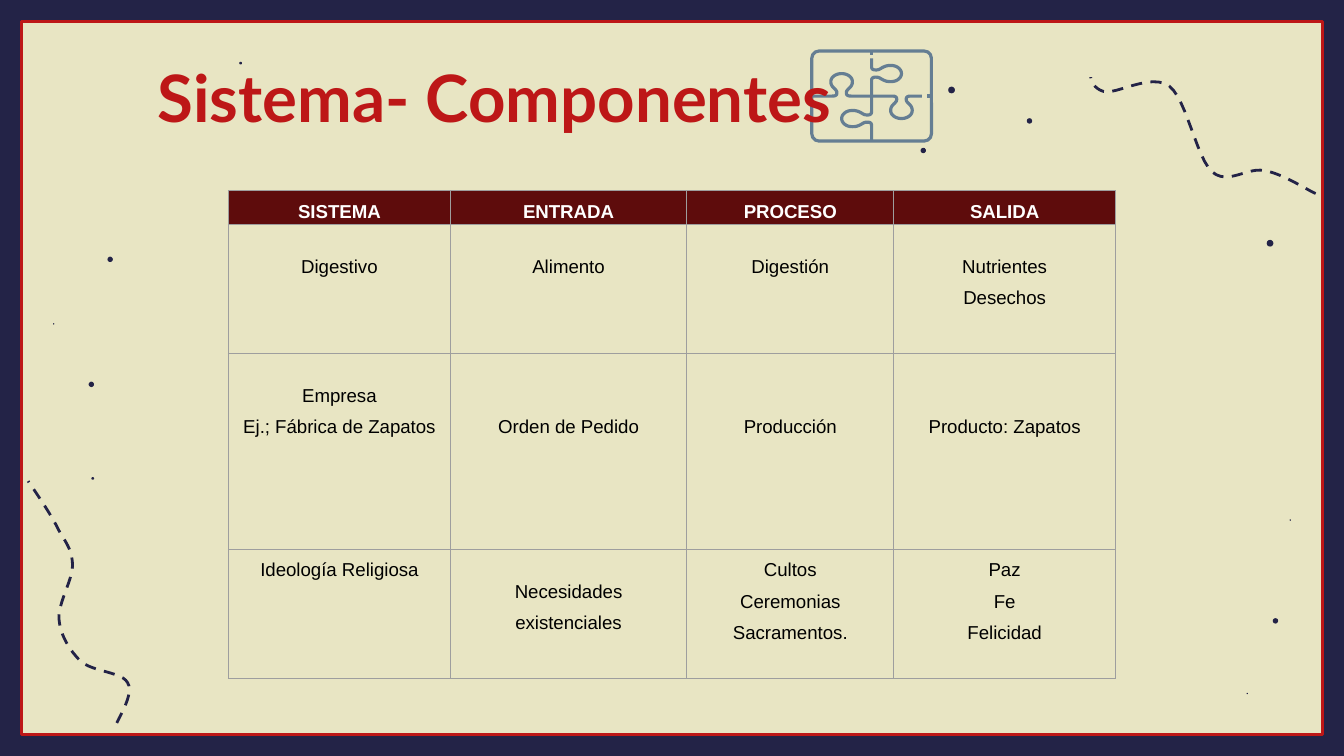
import pptx
import pptx.util
import pptx.dml.color
import pptx.enum.dml
import pptx.enum.shapes
import pptx.enum.text
import pptx.oxml
import pptx.oxml.ns

Inches, Pt = pptx.util.Inches, pptx.util.Pt
SHAPE = pptx.enum.shapes.MSO_SHAPE
NAVY, RED, CREAM, MAROON, SLATE = "232347", "BD1717", "E8E5C3", "5E0C0C", "657E93"
GRAY, WHITE, BLACK = "9E9E9E", "FFFFFF", "000000"
WIDTH = 10
HEIGHT = WIDTH * 9 / 16


def rgb(value):
    return pptx.dml.color.RGBColor.from_string(value)


def bezier(start, segments, steps=12):
    """Points along a chain of cubic curves."""
    points = [start]
    for c1, c2, end in segments:
        p0 = points[-1]
        for i in range(1, steps + 1):
            t = i / steps
            u = 1 - t
            points.append(tuple(
                u**3 * a + 3 * u * u * t * b + 3 * u * t * t * c + t**3 * d
                for a, b, c, d in zip(p0, c1, c2, end)))
    return points


class SlideBuilder:
    title_font = {"name": "Lato", "size": Pt(35), "bold": True}
    header_font = {"name": "Arial", "size": Pt(10), "bold": True}
    body_font = {"name": "Arial", "size": Pt(10), "bold": False}

    def __init__(self, prs):
        self.s = prs.slides.add_slide(prs.slide_layouts[5])
        fill = self.s.background.fill
        fill.solid()
        fill.fore_color.rgb = rgb(CREAM)

    def format_run(self, r, values, color):
        for name, value in values.items():
            setattr(r.font, name, value)
        r.font.color.rgb = rgb(color)

    def paint(self, sp, fill=None, line=None, width=1.5):
        sp.shadow.inherit = False
        if fill:
            sp.fill.solid()
            sp.fill.fore_color.rgb = rgb(fill)
        else:
            sp.fill.background()
        if line:
            sp.line.color.rgb = rgb(line)
            sp.line.width = Pt(width)
        else:
            sp.line.fill.background()
        return sp

    def shape(self, kind, box, **style):
        sp = self.s.shapes.add_shape(kind, *map(Inches, box))
        return self.paint(sp, **style)

    def dot(self, x, y, size):
        self.shape(SHAPE.OVAL, (x - size / 2, y - size / 2, size, size), fill=NAVY)

    def curve(self, points, color, width=1.5, dashed=False):
        emu = [(Inches(x), Inches(y)) for x, y in points]
        builder = self.s.shapes.build_freeform(*emu[0])
        builder.add_line_segments(emu[1:], close=False)
        sp = self.paint(builder.convert_to_shape(), line=color, width=width)
        if dashed:
            sp.line.dash_style = pptx.enum.dml.MSO_LINE.DASH

    def cell(self, cell, text, top, font, color, fill=None):
        tcPr = cell._tc.get_or_add_tcPr()
        for side in "LRTB":
            tcPr.append(pptx.oxml.parse_xml(
                f'<a:ln{side} {pptx.oxml.ns.nsdecls("a")} w="9525"><a:solidFill>'
                f'<a:srgbClr val="{GRAY}"/></a:solidFill></a:ln{side}>'))
        if fill:
            cell.fill.solid()
            cell.fill.fore_color.rgb = rgb(fill)
        else:
            cell.fill.background()
        margins = {"margin_left": 0.09, "margin_right": 0.09,
                   "margin_top": top, "margin_bottom": 0}
        for name, value in margins.items():
            setattr(cell, name, Inches(value))
        cell.text = text
        for p in cell.text_frame.paragraphs:
            p.alignment = pptx.enum.text.PP_ALIGN.CENTER
            p.line_spacing = 1.5
            for r in p.runs:
                self.format_run(r, font, color)

    def table(self, box, widths, heights, header, rows):
        frame = self.s.shapes.add_table(len(heights), len(widths), *map(Inches, box))
        table = frame.table
        table.first_row = table.horz_banding = False
        for column, width in zip(table.columns, widths):
            column.width = Inches(width)
        for row, height in zip(table.rows, heights):
            row.height = Inches(height)
        for j, text in enumerate(header):
            self.cell(table.cell(0, j), text, 0, self.header_font, WHITE, MAROON)
        for i, row in enumerate(rows, 1):
            for j, (text, top) in enumerate(row):
                self.cell(table.cell(i, j), text, top, self.body_font, BLACK)

    def title(self, text, box):
        sp = self.s.shapes.title
        sp.left, sp.top, sp.width, sp.height = map(Inches, box)
        tf = sp.text_frame
        tf.word_wrap = True
        tf.vertical_anchor = pptx.enum.text.MSO_ANCHOR.BOTTOM
        for side in ("left", "right", "top", "bottom"):
            setattr(tf, f"margin_{side}", Inches(0.1))
        p = tf.paragraphs[0]
        p.alignment = pptx.enum.text.PP_ALIGN.CENTER
        r = p.add_run()
        r.text = text
        self.format_run(r, self.title_font, RED)
        sp.element.getparent().append(sp.element)  # bring to front

    def puzzle(self, x, y, w, h):
        frame = self.shape(SHAPE.ROUNDED_RECTANGLE, (x, y, w, h), line=SLATE, width=1.7)
        frame.adjustments[0] = 0.08
        # Half of a knob as (along, out) fractions of the box; the rest mirrors it
        half = bezier((0.17, 0), [
            ((0.21, 0), (0.21, 0.02), (0.21, 0.04)),
            ((0.21, 0.08), (0.16, 0.09), (0.16, 0.16)),
            ((0.16, 0.22), (0.21, 0.25), (0.25, 0.25))])
        knob = half + [(0.5 - a, o) for a, o in reversed(half[:-1])] + [(0.5, 0)]
        # Each seam runs from an edge to the centre; some have a small gap
        seams = [
            (lambda a, o: (a, 0.5 - o), False),
            (lambda a, o: (1 - a, 0.5 + o), True),
            (lambda a, o: (0.5 + o, a), True),
            (lambda a, o: (0.5 - o, 1 - a), False)]
        for place, gap in seams:
            lines = [[(0.08 if gap else 0, 0)] + knob]
            if gap:
                lines.append([(0, 0), (0.04, 0)])
            for line in lines:
                spots = [place(a, o) for a, o in line]
                self.curve([(x + u * w, y + v * h) for u, v in spots], SLATE, 1.7)


def main():
    prs = pptx.Presentation()
    prs.slide_width, prs.slide_height = Inches(WIDTH), Inches(HEIGHT)
    b = SlideBuilder(prs)

    # Dashed trails
    b.curve(bezier((8.47, 0.25), [
        ((8.41, 0.28), (8.18, 0.39), (8.14, 0.46)),
        ((8.09, 0.54), (8.11, 0.65), (8.21, 0.68)),
        ((8.3, 0.71), (8.56, 0.54), (8.7, 0.64)),
        ((8.83, 0.74), (8.9, 1.17), (9.02, 1.28)),
        ((9.14, 1.38), (9.28, 1.24), (9.41, 1.27)),
        ((9.54, 1.29), (9.72, 1.41), (9.79, 1.44))]), NAVY, dashed=True)
    b.curve(bezier((0.87, 5.38), [
        ((0.89, 5.33), (1, 5.16), (0.95, 5.08)),
        ((0.91, 5), (0.69, 5), (0.6, 4.92)),
        ((0.52, 4.84), (0.45, 4.73), (0.44, 4.61)),
        ((0.43, 4.49), (0.54, 4.32), (0.54, 4.21)),
        ((0.54, 4.1), (0.5, 4.05), (0.44, 3.95)),
        ((0.39, 3.84), (0.25, 3.64), (0.21, 3.58))]), NAVY, dashed=True)

    # Scattered dots, by diameter
    dots = {
        0.05: [(7.08, 0.67), (9.45, 1.81)],
        0.04: [(9.49, 4.62), (0.68, 2.86), (0.82, 1.93), (7.66, 0.9), (6.87, 1.12)],
        0.02: [(0.69, 3.56), (1.79, 0.47)],
        0.01: [(9.28, 5.16), (0.4, 2.41), (9.6, 3.87)]}
    for size, centres in dots.items():
        for x, y in centres:
            b.dot(x, y, size)

    # Border bars and red frame
    bar = 0.16
    for box in [(0, 0, WIDTH, bar), (0, HEIGHT - bar, WIDTH, bar),
                (0, 0, bar, HEIGHT), (WIDTH - bar, 0, bar, HEIGHT)]:
        b.shape(SHAPE.RECTANGLE, box, fill=NAVY)
    b.shape(SHAPE.RECTANGLE, (bar, bar, WIDTH - 2 * bar, HEIGHT - 2 * bar), line=RED)

    # Cream band and puzzle icon
    b.shape(SHAPE.RECTANGLE, (4.23, 0.22, 4.9, 0.34), fill=CREAM, line=CREAM, width=2)
    b.puzzle(6.04, 0.38, 0.89, 0.67)

    # Table: each body cell is (text, top margin)
    one, two = 0.16, 0.39
    b.table((1.7, 1.42, 6.6, 3.63), [1.65, 1.76, 1.54, 1.65], [0.25, 0.96, 1.46, 0.96],
            ["SISTEMA", "ENTRADA", "PROCESO", "SALIDA"], [
        [("Digestivo", one), ("Alimento", one), ("Digestión", one),
         ("Nutrientes\nDesechos", one)],
        [("Empresa\nEj.; Fábrica de Zapatos", one), ("Orden de Pedido", two),
         ("Producción", two), ("Producto: Zapatos", two)],
        [("Ideología Religiosa", 0), ("Necesidades existenciales", one),
         ("Cultos\nCeremonias\nSacramentos.", 0), ("Paz\nFe\nFelicidad", 0)]])

    # Title
    b.title("Sistema- Componentes", (0.98, 0.28, 5.4, 0.83))
    prs.save("out.pptx")


if __name__ == "__main__":
    main()
